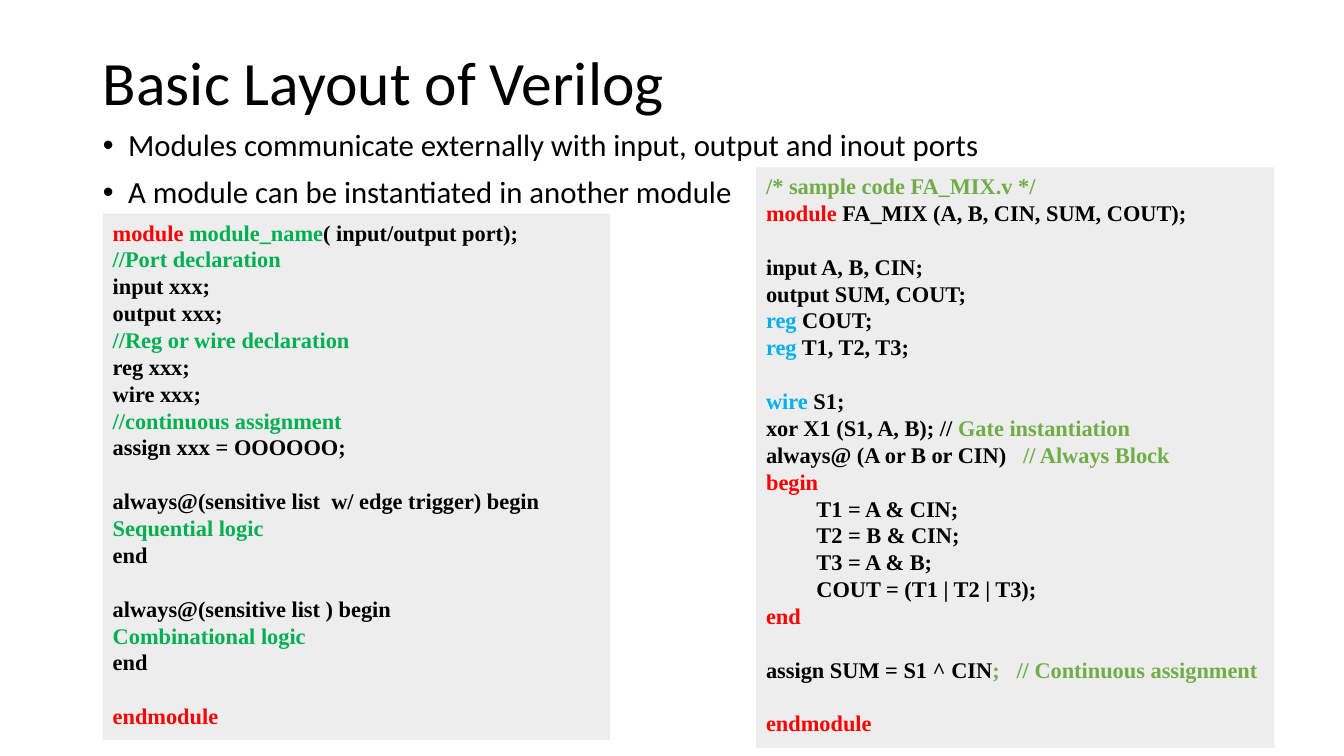
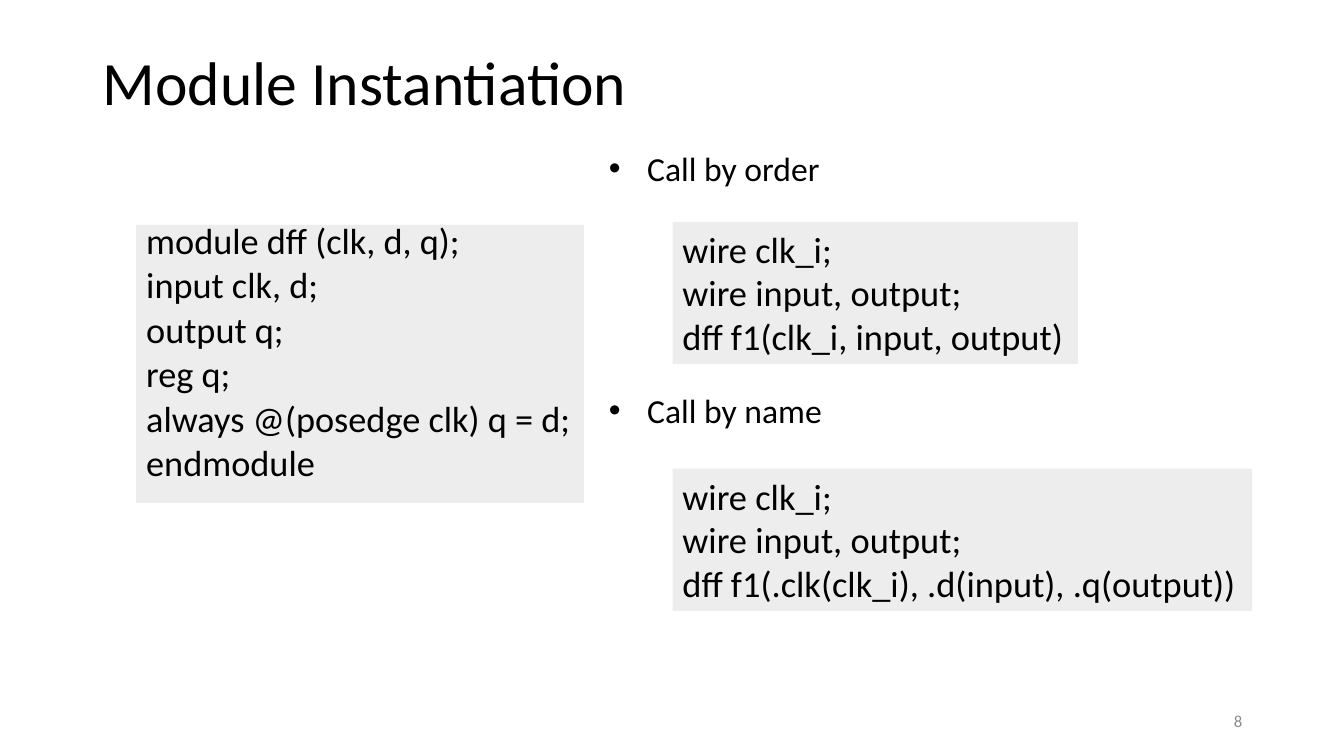
from dataclasses import dataclass

from lxml import etree
from pptx import Presentation
from pptx.dml.color import RGBColor
from pptx.enum.text import MSO_ANCHOR as Anchor, MSO_AUTO_SIZE as AutoSize, PP_ALIGN as Align
from pptx.oxml.ns import qn
from pptx.util import Inches, Pt

BLACK = RGBColor(0x00, 0x00, 0x00)
RED = RGBColor(0xFF, 0x00, 0x00)
GREEN = RGBColor(0x00, 0xB0, 0x50)
OLIVE = RGBColor(0x70, 0xAD, 0x47)
BLUE = RGBColor(0x00, 0xB0, 0xF0)
GRAY = RGBColor(0x8C, 0x8C, 0x8C)
PANEL = RGBColor(0xED, 0xED, 0xED)

SANS, SERIF = "Calibri", "Times New Roman"
CODE_LEADING = Pt(19.2)


@dataclass
class Line:
    """A code line made of (text, colour) runs."""
    runs: list
    indent: float = 0


def plain(*texts, color=BLACK, indent=0):
    """Return one single-coloured code line per text."""
    return [Line([(text, color)], indent) for text in texts]


TEMPLATE_CODE = [
    [Line([("module ", RED), ("module_name", GREEN), ("( input/output port);", BLACK)]),
     *plain("//Port declaration", color=GREEN),
     *plain("input xxx;", "output xxx;"),
     *plain("//Reg or wire declaration", color=GREEN),
     *plain("reg xxx;", "wire xxx;"),
     *plain("//continuous assignment", color=GREEN),
     *plain("assign xxx = OOOOOO;")],
    [*plain("always@(sensitive list  w/ edge trigger) begin"),
     *plain("Sequential logic", color=GREEN),
     *plain("end")],
    [*plain("always@(sensitive list ) begin"),
     *plain("Combinational logic", color=GREEN),
     *plain("end")],
    plain("endmodule", color=RED),
]

SAMPLE_CODE = [
    [*plain("/* sample code FA_MIX.v */", color=OLIVE),
     Line([("module", RED), (" FA_MIX (A, B, CIN, SUM, COUT);", BLACK)])],
    [*plain("input A, B, CIN;", "output SUM, COUT;"),
     Line([("reg", BLUE), (" COUT;", BLACK)]),
     Line([("reg", BLUE), (" T1, T2, T3;", BLACK)])],
    [Line([("wire", BLUE), (" S1;", BLACK)]),
     Line([("xor X1 (S1, A, B); //", BLACK), (" Gate instantiation", OLIVE)]),
     Line([("always@ (A or B or CIN)  ", BLACK), (" // Always Block", OLIVE)]),
     *plain("begin", color=RED),
     *plain("T1 = A & CIN;", "T2 = B & CIN;", "T3 = A & B;",
            "COUT = (T1 | T2 | T3);", indent=0.5),
     *plain("end", color=RED)],
    [Line([("assign SUM = S1 ^ CIN", BLACK), (";   // Continuous assignment", OLIVE)])],
    plain("endmodule", color=RED),
]

DFF_CODE = ["module dff (clk, d, q);", "input clk, d;", "output q;", "reg q;",
            "always @(posedge clk) q = d;", "endmodule"]
WIRES = ["wire clk_i;", "wire input, output;"]


def add_paragraph(tf, runs, size=16, font=SANS, color=BLACK, bold=False, align=Align.LEFT,
                  spacing=1.0, before=0, indent=0, hanging=0, bullet=False):
    """Append a formatted paragraph of plain text or (text, colour) runs."""
    p = tf.paragraphs[0] if not tf.paragraphs[0].runs else tf.add_paragraph()
    p.alignment, p.line_spacing, p.space_before = align, spacing, Pt(before)
    pPr = p._p.get_or_add_pPr()
    pPr.set("marL", str(Inches(indent)))
    pPr.set("indent", str(-Inches(hanging)))
    if bullet:
        etree.SubElement(pPr, qn("a:buFont")).set("typeface", "Arial")
        etree.SubElement(pPr, qn("a:buChar")).set("char", "•")
    else:
        etree.SubElement(pPr, qn("a:buNone"))
    for text, run_color in [(runs, color)] if isinstance(runs, str) else runs:
        r = p.add_run()
        r.text = text
        r.font.name, r.font.size, r.font.bold = font, Pt(size), bold
        r.font.color.rgb = run_color
    return p


def place(sp, box, anchor=Anchor.TOP, fill=None):
    """Move a text shape to its box and return its text frame."""
    sp.left, sp.top, sp.width, sp.height = (Inches(v) for v in box)
    if fill is not None:
        sp.fill.solid()
        sp.fill.fore_color.rgb = fill
    tf = sp.text_frame
    tf.word_wrap, tf.auto_size, tf.vertical_anchor = True, AutoSize.NONE, anchor
    return tf


def add_text(s, box, **kwargs):
    """Add a text box and return its text frame."""
    return place(s.shapes.add_textbox(0, 0, 0, 0), box, **kwargs)


def add_base_slide(prs, title, number):
    """Add a slide with the shared title style and page number."""
    s = prs.slides.add_slide(prs.slide_layouts[1])
    tf = place(s.shapes.title, (0.92, 0.4, 11.5, 0.89), anchor=Anchor.MIDDLE)
    add_paragraph(tf, title, size=44, spacing=0.9)
    tf = add_text(s, (9.42, 6.95, 3, 0.4), anchor=Anchor.MIDDLE)
    add_paragraph(tf, str(number), size=12, color=GRAY, align=Align.RIGHT)
    return s


def add_listing(s, box, blocks):
    """Add a coloured code panel with a line's gap between blocks."""
    tf = add_text(s, box, fill=PANEL)
    for i, block in enumerate(blocks):
        for j, line in enumerate(block):
            gap = CODE_LEADING.pt if i and not j else 0
            add_paragraph(tf, line.runs, font=SERIF, bold=True, spacing=CODE_LEADING,
                          before=gap, indent=line.indent)


def add_call(s, box, call):
    """Add a panel that declares wires and instantiates the module."""
    tf = add_text(s, box, fill=PANEL)
    for text in [*WIRES, call]:
        add_paragraph(tf, text, size=26)


def add_layout_slide(prs):
    """Build the slide on the layout of a module."""
    s = add_base_slide(prs, "Basic Layout of Verilog", 6)
    tf = place(s.placeholders[1], (0.92, 1.24, 10.77, 0.6))
    for text in ("Modules communicate externally with input, output and inout ports",
                 "A module can be instantiated in another module"):
        add_paragraph(tf, text, size=22, spacing=0.9, before=10,
                      indent=0.25, hanging=0.25, bullet=True)
    add_listing(s, (1.02, 2.12, 5.03, 5.22), TEMPLATE_CODE)
    add_listing(s, (7.5, 1.66, 5.14, 5.76), SAMPLE_CODE)


def add_instantiation_slide(prs):
    """Build the slide on the two ways to instantiate a module."""
    s = add_base_slide(prs, "Module Instantiation", 8)
    tf = place(s.placeholders[1], (1.35, 2.23, 4.44, 2.76), fill=PANEL)
    for text in DFF_CODE:
        add_paragraph(tf, text, size=25.9, spacing=0.7, before=10)
    tf = add_text(s, (5.94, 1.42, 2.31, 3.33))
    for text, gap in (("Call by order", 0), ("Call by name", 144)):
        add_paragraph(tf, text, size=24, before=gap, indent=0.38, hanging=0.38, bullet=True)
    add_call(s, (6.67, 2.2, 4.02, 1.41), "dff f1(clk_i, input, output)")
    add_call(s, (6.67, 4.65, 5.75, 1.41), "dff f1(.clk(clk_i), .d(input), .q(output))")


def main():
    """Build and save the presentation."""
    prs = Presentation()
    prs.slide_width, prs.slide_height = Inches(13.33), Inches(7.5)
    add_layout_slide(prs)
    add_instantiation_slide(prs)
    prs.save("out.pptx")


if __name__ == "__main__":
    main()
